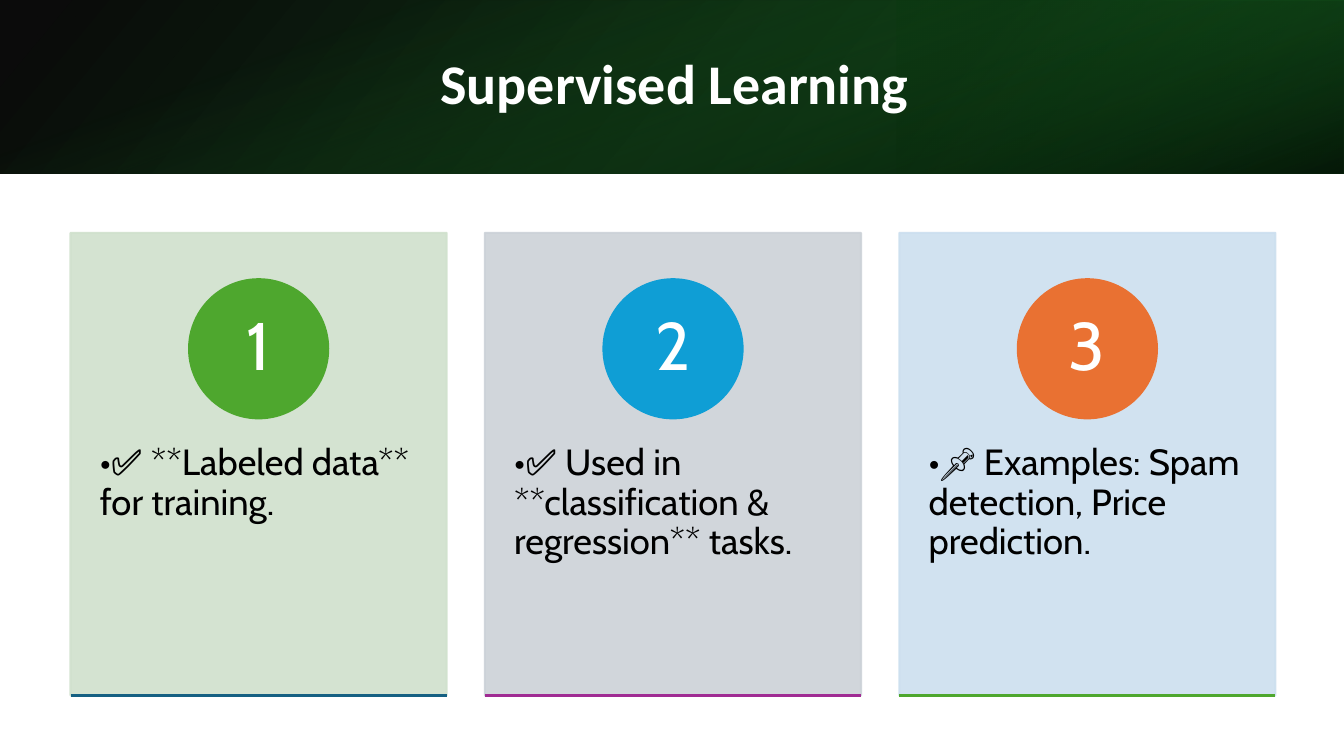
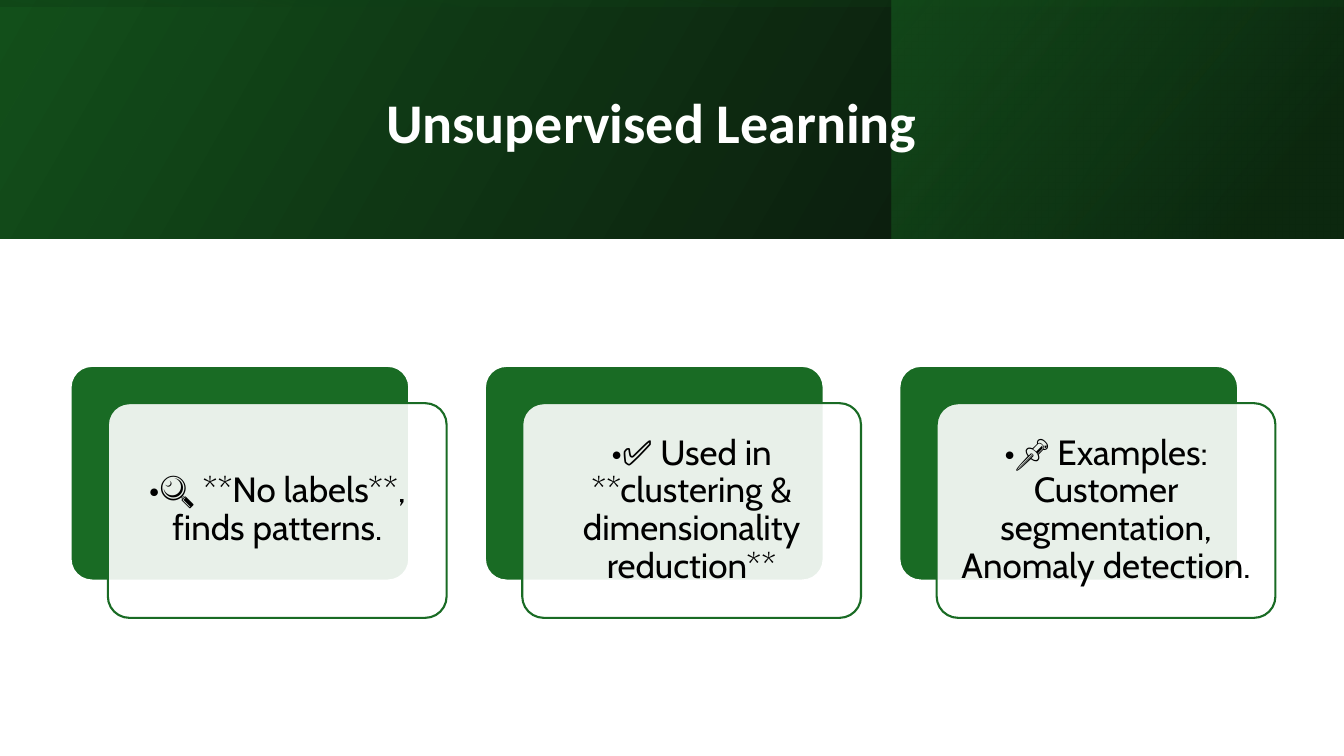
from pptx import Presentation
from pptx.dml.color import RGBColor
from pptx.enum.shapes import MSO_CONNECTOR, MSO_SHAPE
from pptx.enum.text import MSO_ANCHOR, PP_ALIGN
from pptx.oxml.ns import qn
from pptx.util import Inches, Pt
from lxml import etree

RECT, ROUND, OVAL = MSO_SHAPE.RECTANGLE, MSO_SHAPE.ROUNDED_RECTANGLE, MSO_SHAPE.OVAL
STRAIGHT = MSO_CONNECTOR.STRAIGHT
LEFT, CENTER = PP_ALIGN.LEFT, PP_ALIGN.CENTER
TOP, MIDDLE = MSO_ANCHOR.TOP, MSO_ANCHOR.MIDDLE

COLORS = {
    "white": "FFFFFF", "black": "000000",
    "green": "196B24", "deep": "13501B", "forest": "0D3612",
    "mint": "D0E1CD", "grey": "CCD2D8", "sky": "CCDFEF",
    "leaf": "4EA72E", "cyan": "0F9ED5", "orange": "E97132",
    "teal": "156082", "purple": "A02B93",
}
TITLE_FONT, BODY_FONT = "Calibri", "Cabin"
SLIDE_W, SLIDE_H = 13.33, 7.5
COL_LEFT, COL_STEP, COL_W = 0.7, 4.11, 3.73

# Title bands: box, rotation, flipped, angle (clockwise), stops (position, colour, opacity)
SUPERVISED_BAND = [
    ((0, 0, SLIDE_W, 1.72), 0, True, 140, [(0, "black", 96), (100, "deep", 100)]),
    ((8.89, 0, 4.44, 1.72), 180, True, 320, [(19, "forest", 68), (100, "green", 79)]),
    ((5.8, -5.8, 1.72, SLIDE_W), 90, False, 340, [(23, "green", 0), (99, "black", 74)]),
]
UNSUPERVISED_BAND = [
    ((0, 0, SLIDE_W, 2.37), 0, True, 330, [(0, "black", 96), (100, "deep", 100)]),
    ((8.84, 0, 4.48, 2.37), 0, True, 320, [(19, "forest", 68), (100, "green", 48)]),
    ((5.48, -5.48, 2.37, SLIDE_W), 270, True, 350, [(23, "deep", 16), (99, "black", 45)]),
]

# Panels: panel colour, badge colour, rule colour, text
SUPERVISED = [
    ("mint", "leaf", "teal", "•✅ **Labeled data** for training."),
    ("grey", "cyan", "purple", "•✅ Used in **classification & regression** tasks."),
    ("sky", "orange", "leaf", "•📌 Examples: Spam detection, Price prediction."),
]
UNSUPERVISED = [
    "•🔍 **No labels**, finds patterns.",
    "•✅ Used in **clustering & dimensionality reduction**",
    "•📌 Examples: Customer segmentation, Anomaly detection.",
]


def rgb(name):
    return RGBColor.from_string(COLORS[name])


def inches(box):
    return [Inches(v) for v in box]


def set_opacity(shape, percents):
    """Set the opacity of the shape's colours, in order."""
    for color, percent in zip(shape._element.spPr.iter(qn("a:srgbClr")), percents):
        etree.SubElement(color, qn("a:alpha")).set("val", str(percent * 1000))


def add_box(s, kind, box, fill, line, opacity=100):
    shape = s.shapes.add_shape(kind, *inches(box))
    shape.shadow.inherit = False
    shape.fill.solid()
    shape.fill.fore_color.rgb = rgb(fill)
    shape.line.color.rgb = rgb(line)
    shape.line.width = Pt(1.5)
    if opacity < 100:
        set_opacity(shape, [opacity])
    return shape


def add_gradient(s, box, rotation, flipped, angle, stops):
    shape = s.shapes.add_shape(RECT, *inches(box))
    shape.shadow.inherit = False
    shape.line.fill.background()
    shape.rotation = rotation
    if flipped:
        shape._element.spPr.xfrm.set("flipH", "1")
    shape.fill.gradient()
    shape.fill.gradient_angle = 360 - angle
    for stop, (position, color, _) in zip(shape.fill.gradient_stops, stops):
        stop.position = position / 100
        stop.color.rgb = rgb(color)
    set_opacity(shape, [opacity for _, _, opacity in stops])


def write(shape, text, size, color="black", align=CENTER, anchor=MIDDLE,
          margins=(0.1, 0.1), font=BODY_FONT, bold=False):
    tf = shape.text_frame
    tf.word_wrap = True
    tf.vertical_anchor = anchor
    tf.margin_left = tf.margin_right = Inches(margins[0])
    tf.margin_top = tf.margin_bottom = Inches(margins[1])
    p = tf.paragraphs[0]
    p.text = text
    p.alignment = align
    p.line_spacing = 0.9
    p.font.name = font
    p.font.size = Pt(size)
    p.font.bold = bold
    p.font.color.rgb = rgb(color)


def add_rule(s, left, top, width, color):
    rule = s.shapes.add_connector(STRAIGHT, *inches((left, top, left + width, top)))
    rule.line.color.rgb = rgb(color)
    rule.line.width = Pt(1.5)
    etree.SubElement(rule._element.spPr, qn("a:effectLst"))


def add_titled_slide(prs, title, title_box, band):
    s = prs.slides.add_slide(prs.slide_layouts[5])
    for layer in band:
        add_gradient(s, *layer)
    heading = s.shapes.title
    heading.left, heading.top, heading.width, heading.height = inches(title_box)
    write(heading, title, 40, "white", margins=(0.1, 0.05), font=TITLE_FONT, bold=True)
    # Bring the title in front of the band
    s.shapes._spTree.append(heading._element)
    return s


def add_numbered_panel(s, left, number, panel, badge, rule, text):
    top, height, size = 2.31, 4.59, 1.38
    shape = add_box(s, RECT, (left, top, COL_W, height), panel, panel)
    set_opacity(shape, [90, 90])
    label = s.shapes.add_textbox(*inches((left, 4.05, COL_W, 2.75)))
    write(label, text, 26, align=LEFT, anchor=TOP, margins=(0.29, 0.36))
    circle = add_box(s, OVAL, (left + (COL_W - size) / 2, 2.77, size, size), badge, badge)
    write(circle, str(number), 48, "white", margins=(0.11, 0.01))
    add_rule(s, left, top + height, COL_W, rule)


def add_layered_card(s, left, text):
    top, width, height, offset = 3.63, 3.36, 2.13, 0.37
    back = add_box(s, ROUND, (left, top, width, height), "green", "white")
    front = add_box(s, ROUND, (left + offset, top + offset, width, height),
                    "white", "green", opacity=90)
    for card in (back, front):
        card.adjustments[0] = 0.1
    write(front, text, 25)


def main():
    prs = Presentation()
    prs.slide_width, prs.slide_height = Inches(SLIDE_W), Inches(SLIDE_H)

    # Supervised learning: numbered panels
    s = add_titled_slide(prs, "Supervised Learning", (1.5, 0.38, 10.38, 0.96),
                         SUPERVISED_BAND)
    for i, panel in enumerate(SUPERVISED):
        add_numbered_panel(s, COL_LEFT + i * COL_STEP, i + 1, *panel)

    # Unsupervised learning: layered cards
    s = add_titled_slide(prs, "Unsupervised Learning", (1.51, 0.38, 9.9, 1.72),
                         UNSUPERVISED_BAND)
    for i, text in enumerate(UNSUPERVISED):
        add_layered_card(s, COL_LEFT + i * COL_STEP, text)

    prs.save("out.pptx")


if __name__ == "__main__":
    main()
